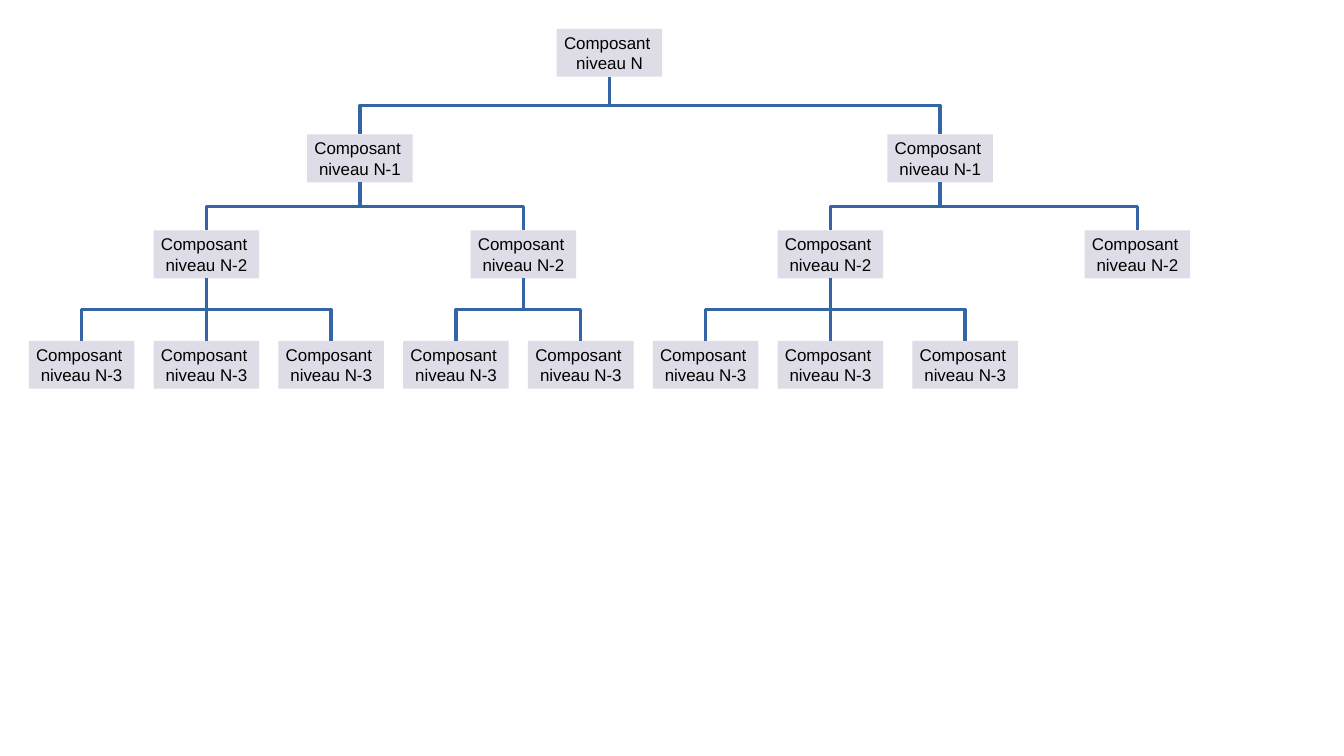
from dataclasses import dataclass

from lxml import etree
from pptx import Presentation
from pptx.dml.color import RGBColor
from pptx.enum.shapes import MSO_CONNECTOR, MSO_SHAPE
from pptx.enum.text import MSO_ANCHOR, PP_ALIGN
from pptx.oxml.ns import qn
from pptx.shapes.autoshape import Shape
from pptx.shapes.shapetree import SlideShapes
from pptx.util import Cm, Pt

RECTANGLE = MSO_SHAPE.RECTANGLE
ELBOW, STRAIGHT = MSO_CONNECTOR.ELBOW, MSO_CONNECTOR.STRAIGHT
MIDDLE, CENTER = MSO_ANCHOR.MIDDLE, PP_ALIGN.CENTER

LILAC = RGBColor(0xDE, 0xDC, 0xE6)
BLUE = RGBColor(0x34, 0x65, 0xA4)
BLACK = RGBColor(0x00, 0x00, 0x00)

SLIDE_WIDTH, SLIDE_HEIGHT = Cm(28), Cm(15.75)
BOX_WIDTH, BOX_HEIGHT = Cm(2.2), Cm(1)
MARGIN, COLUMN = Cm(0.6), Cm(2.6)
LEVEL_TOPS = (Cm(0.6), Cm(2.8), Cm(4.8), Cm(7.1))
TOP_SITE, BOTTOM_SITE = 0, 2


@dataclass(frozen=True)
class Component:
    """A box of the tree, placed by its column; its depth gives the row."""
    column: float
    children: tuple["Component", ...] = ()


def leaves(*columns: float) -> tuple[Component, ...]:
    return tuple(Component(column) for column in columns)


TREE = Component(4.23, (
    Component(2.23, (
        Component(1, leaves(0, 1, 2)),
        Component(3.54, leaves(3, 4)),
    )),
    Component(6.88, (
        Component(6, leaves(5, 6, 7.08)),
        Component(8.46),
    )),
))


def write_text(box: Shape, text: str, *, size: float, font: str, color: RGBColor) -> None:
    frame = box.text_frame
    frame.word_wrap = False
    frame.vertical_anchor = MIDDLE
    para = frame.paragraphs[0]
    para.alignment = CENTER
    para.text = text
    for span in para.runs:
        span.font.size = Pt(size)
        span.font.name = font
        span.font.color.rgb = color
    for line_break in box.element.iter(qn("a:br")):
        etree.SubElement(line_break, qn("a:rPr"), sz=str(int(size * 100)))


def draw_box(shapes: SlideShapes, component: Component, level: int) -> Shape:
    left = MARGIN + round(component.column * COLUMN)
    box = shapes.add_shape(RECTANGLE, left, LEVEL_TOPS[level], BOX_WIDTH, BOX_HEIGHT)
    box.shadow.inherit = False
    box.fill.solid()
    box.fill.fore_color.rgb = LILAC
    box.line.fill.background()
    suffix = f"-{level}" if level else ""
    write_text(box, f"Composant \vniveau N{suffix}", size=10, font="Arial", color=BLACK)
    return box


def draw_link(shapes: SlideShapes, parent: Shape, child: Shape) -> None:
    """Join two boxes; an elbow is turned a quarter so that it leaves downwards."""
    start_x = parent.left + BOX_WIDTH // 2
    start_y = parent.top + BOX_HEIGHT
    end_x = child.left + BOX_WIDTH // 2
    across, down = end_x - start_x, child.top - start_y
    link = shapes.add_connector(ELBOW if across else STRAIGHT, start_x, start_y, end_x, child.top)
    link.begin_connect(parent, BOTTOM_SITE)
    link.end_connect(child, TOP_SITE)
    properties = link.element.spPr
    if across:
        link.left = (start_x + end_x - down) // 2
        link.top = (start_y + child.top - abs(across)) // 2
        link.width, link.height = down, abs(across)
        frame = properties.find(qn("a:xfrm"))
        frame.set("rot", str((270 if across > 0 else 90) * 60000))
        frame.set("flipH", "1" if across > 0 else "0")
    link.line.color.rgb = BLUE
    link.line.width = Pt(0)
    etree.SubElement(properties, qn("a:effectLst"))


def draw_tree(shapes: SlideShapes, component: Component, level: int = 0) -> Shape:
    box = draw_box(shapes, component, level)
    for child in component.children:
        draw_link(shapes, box, draw_tree(shapes, child, level + 1))
    return box


def main() -> None:
    deck = Presentation()
    deck.slide_width, deck.slide_height = SLIDE_WIDTH, SLIDE_HEIGHT
    blank_layout = deck.slide_layouts[6]
    page = deck.slides.add_slide(blank_layout)
    draw_tree(page.shapes, TREE)
    deck.save("out.pptx")


if __name__ == "__main__":
    main()
